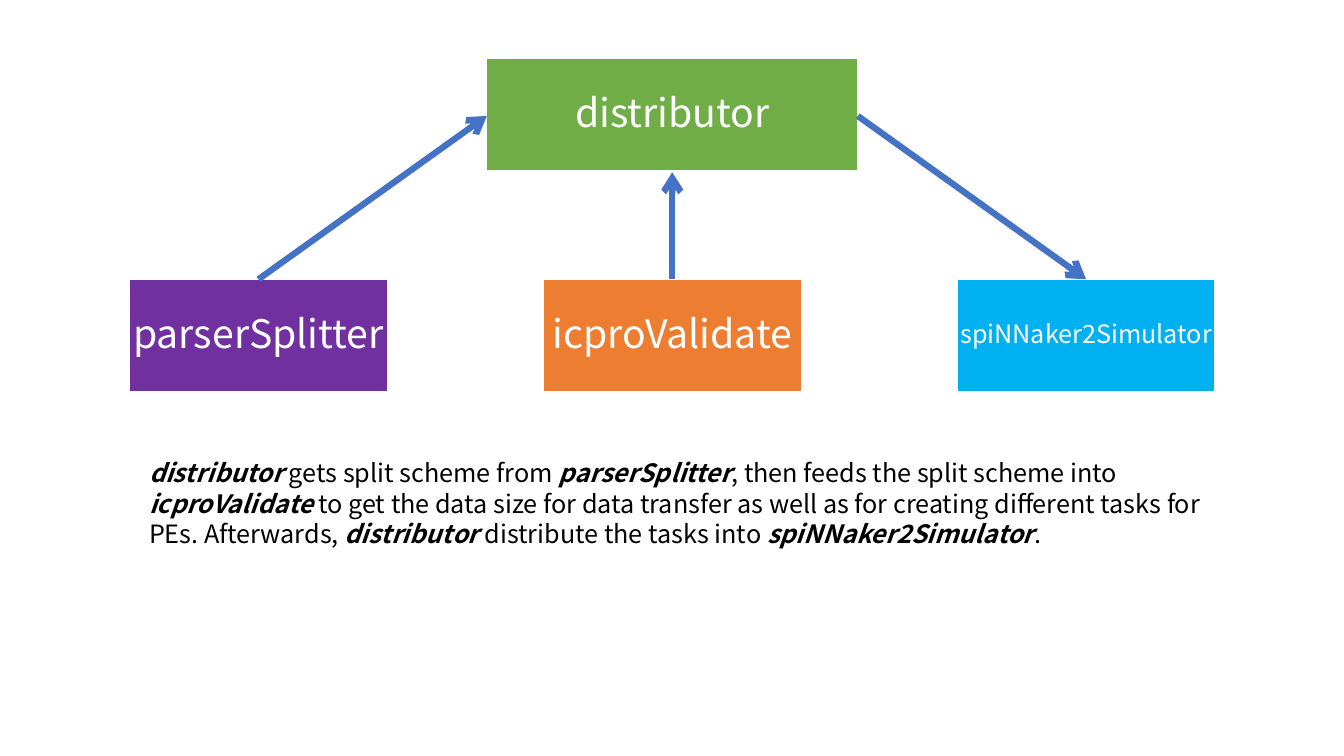
from pptx import Presentation
from pptx.dml.color import RGBColor
from pptx.enum.shapes import MSO_CONNECTOR, MSO_SHAPE
from pptx.enum.text import MSO_ANCHOR, PP_ALIGN
from pptx.oxml.ns import qn
from pptx.util import Pt
from lxml.etree import SubElement

FONT = "Noto Sans CJK SC"
COLORS = {
    "distributor": "70AD47", "parserSplitter": "7030A0",
    "icproValidate": "ED7D31", "spiNNaker2Simulator": "00B0F0",
    "white": "FFFFFF", "black": "000000", "arrow": "4472C4",
}


def color(name):
    return RGBColor.from_string(COLORS[name])


def add_run(paragraph, text, size, ink, **emphasis):
    run = paragraph.add_run()
    run.text = text
    run.font.color.rgb = color(ink)
    for key, value in {"name": FONT, "size": Pt(size), **emphasis}.items():
        setattr(run.font, key, value)


deck = Presentation()
deck.slide_width, deck.slide_height = Pt(960), Pt(540)
slide = deck.slides.add_slide(deck.slide_layouts[6])

# Modules: the distributor above a row of three, centred on the same axis
center, pitch, height = 480.2, 295.6, 80.5
top_y, row_y = 41.8, 199.5
top_width, row_width = 265, 184.4
modules = [
    ("distributor", center, top_y, top_width, 28),
    ("parserSplitter", center - pitch, row_y, row_width, 28),
    ("icproValidate", center, row_y, row_width, 28),
    ("spiNNaker2Simulator", center + pitch, row_y, row_width, 18),
]
for module, middle, top, width, size in modules:
    box = slide.shapes.add_shape(
        MSO_SHAPE.RECTANGLE, Pt(middle - width / 2), Pt(top), Pt(width), Pt(height))
    box.shadow.inherit = False
    box.fill.solid()
    box.fill.fore_color.rgb = color(module)
    box.line.color.rgb = color("white")
    box.line.width = Pt(1)
    frame = box.text_frame
    margins = dict.fromkeys(
        ("margin_left", "margin_right", "margin_top", "margin_bottom"), Pt(1.4))
    for key, value in {**margins, "word_wrap": True,
                       "vertical_anchor": MSO_ANCHOR.MIDDLE}.items():
        setattr(frame, key, value)
    label = frame.paragraphs[0]
    label.alignment = PP_ALIGN.CENTER
    label.line_spacing = 0.9
    add_run(label, module, size, "white")

# Arrows: two modules feed the distributor, which feeds the third
side_y = top_y + height / 2 + 0.8
flows = [
    (center - pitch, row_y, center - top_width / 2, side_y),
    (center, row_y, center, top_y + height + 0.8),
    (center + top_width / 2, side_y, center + pitch, row_y),
]
for flow in flows:
    arrow = slide.shapes.add_connector(MSO_CONNECTOR.STRAIGHT, *map(Pt, flow))
    arrow.line.color.rgb = color("arrow")
    arrow.line.width = Pt(4.5)
    SubElement(arrow.line._get_or_add_ln(), qn("a:tailEnd"), type="arrow")
    SubElement(arrow._element.spPr, qn("a:effectLst"))

# Explanation, with the module names emphasised
explanation = slide.shapes.add_textbox(Pt(99.4), Pt(323.3), Pt(769), Pt(72.7))
explanation.text_frame.word_wrap = True
sentence = explanation.text_frame.paragraphs[0]
phrases = [
    "distributor", " gets split scheme from ",
    "parserSplitter", ", then feeds the split scheme into ",
    "icproValidate", " to get the data size for data transfer as well as for "
    "creating different tasks for PEs. Afterwards, ",
    "distributor", " distribute the tasks into ",
    "spiNNaker2Simulator", ".",
]
for phrase in phrases:
    is_module = phrase in COLORS
    add_run(sentence, phrase, 18, "black", bold=is_module, italic=is_module)

deck.save("out.pptx")
